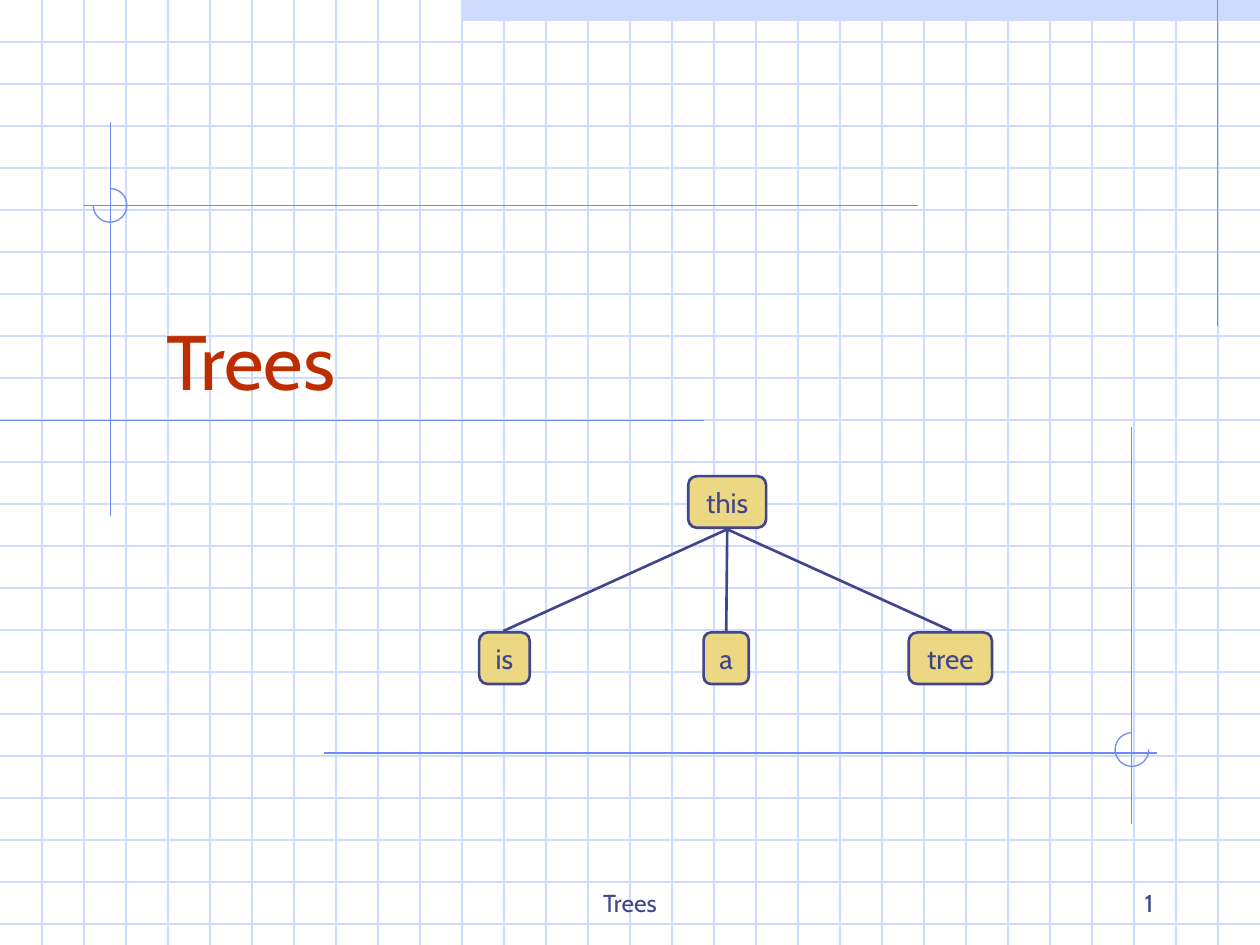
import pptx
import pptx.dml.color
import pptx.enum.shapes
import pptx.enum.text
import pptx.oxml.ns
import pptx.util
from lxml import etree

Cm = pptx.util.Cm
Shape = pptx.enum.shapes.MSO_SHAPE
Align = pptx.enum.text.PP_ALIGN
Anchor = pptx.enum.text.MSO_ANCHOR
qn = pptx.oxml.ns.qn

WIDTH, HEIGHT = 25.4, 19.05
GRID_STEP = WIDTH / 30
FONT = "Cabin"
COLORS = {
    "grid": "CFDBFD",
    "rule": "6F89F7",
    "ink": "40458C",
    "node": "ECD882",
    "title": "BE2D00",
}


def rgb(name):
    return pptx.dml.color.RGBColor.from_string(COLORS[name])


def write(frame, text, size=16, color="ink", align=Align.CENTER,
          anchor=Anchor.MIDDLE, wrap=True):
    frame.word_wrap = wrap
    frame.auto_size = pptx.enum.text.MSO_AUTO_SIZE.NONE
    frame.vertical_anchor = anchor
    paragraph = frame.paragraphs[0]
    paragraph.alignment = align
    run = paragraph.add_run()
    run.text = text
    run.font.name = FONT
    run.font.size = pptx.util.Pt(size)
    run.font.color.rgb = rgb(color)


class TreeSlide:
    """Draws on one slide in a shared style; all lengths are in centimetres."""

    def __init__(self, deck):
        self.slide = deck.slides.add_slide(deck.slide_layouts[5])
        self.shapes = self.slide.shapes

    def line(self, x1, y1, x2, y2, color="rule", weight=0.75):
        connector = self.shapes.add_connector(
            pptx.enum.shapes.MSO_CONNECTOR.STRAIGHT, Cm(x1), Cm(y1), Cm(x2), Cm(y2))
        connector.line.color.rgb = rgb(color)
        connector.line.width = pptx.util.Pt(weight)
        properties = connector.element.spPr
        outline = properties.find(qn("a:ln"))
        outline.set("cap", "sq")
        etree.SubElement(outline, qn("a:miter"), lim="800000")
        etree.SubElement(properties, qn("a:effectLst"))

    def shape(self, kind, left, top, width, height, fill=None, line=None, weight=0.75):
        shape = self.shapes.add_shape(kind, Cm(left), Cm(top), Cm(width), Cm(height))
        shape.shadow.inherit = False
        if fill:
            shape.fill.solid()
            shape.fill.fore_color.rgb = rgb(fill)
        else:
            shape.fill.background()
        if line:
            shape.line.color.rgb = rgb(line)
            shape.line.width = pptx.util.Pt(weight)
        else:
            shape.line.fill.background()
        return shape

    def grid(self):
        for row in range(1, 23):
            self.line(0, row * GRID_STEP, WIDTH, row * GRID_STEP, color="grid")
        for column in range(1, 30):
            self.line(column * GRID_STEP, 0, column * GRID_STEP, HEIGHT, color="grid")

    def arc(self, center_x, center_y, start, end):
        """Draw an arc clockwise between two angles in degrees."""
        radius = 0.34
        arc = self.shape(Shape.ARC, center_x - radius, center_y - radius,
                         2 * radius, 2 * radius, line="rule")
        for index, angle in enumerate((start, end)):
            arc.adjustments[index] = angle * 0.6  # 60000 units per degree / 100000

    def node(self, word, center_x, top, width):
        box = self.shape(Shape.ROUNDED_RECTANGLE, center_x - width / 2, top,
                         width, 1.04, fill="node", line="ink", weight=1.5)
        write(box.text_frame, word, wrap=False)

    def title(self, text):
        title = self.shapes.title
        self.shapes.element.append(title.element)  # in front of the grid
        title.left, title.top = Cm(3.1), Cm(5.12)
        title.width, title.height = Cm(21.59), Cm(3.18)
        write(title.text_frame, text, size=44, color="title",
              align=Align.LEFT, anchor=Anchor.BOTTOM)

    def footer(self, text, left, width, align):
        box = self.shapes.add_textbox(Cm(left), Cm(17.35), Cm(width), Cm(1.27))
        write(box.text_frame, text, size=14, align=align, anchor=Anchor.BOTTOM)


def main():
    deck = pptx.Presentation()
    deck.slide_width, deck.slide_height = Cm(WIDTH), Cm(HEIGHT)
    page = TreeSlide(deck)

    page.shape(Shape.RECTANGLE, 11 * GRID_STEP, 0, 19 * GRID_STEP, GRID_STEP / 2,
               fill="grid")
    page.grid()
    rules = [
        (24.55, 0, 24.55, 6.55),
        (2.23, 2.48, 2.23, 10.38),
        (14.17, 8.48, 0.02, 8.48),
        (18.49, 4.14, 1.7, 4.14),
        (6.54, 15.18, 23.32, 15.18),
        (22.81, 8.62, 22.81, 16.59),
    ]
    for rule in rules:
        page.line(*rule)
    page.arc(2.22, 4.14, start=270, end=180)
    page.arc(22.82, 15.11, start=0, end=270)

    page.footer("Trees", left=8.68, width=8.04, align=Align.CENTER)
    page.footer("1", left=18.21, width=5.29, align=Align.RIGHT)
    page.title("Trees")

    root_x = 14.66
    page.node("this", root_x, top=9.6, width=1.57)
    children = [("is", 10.17, 1.02), ("a", 14.64, 0.91), ("tree", 19.16, 1.68)]
    for word, center_x, width in children:
        page.node(word, center_x, top=12.75, width=width)
        page.line(root_x, 10.67, center_x, 12.71, color="ink", weight=1.5)

    deck.save("out.pptx")


if __name__ == "__main__":
    main()
